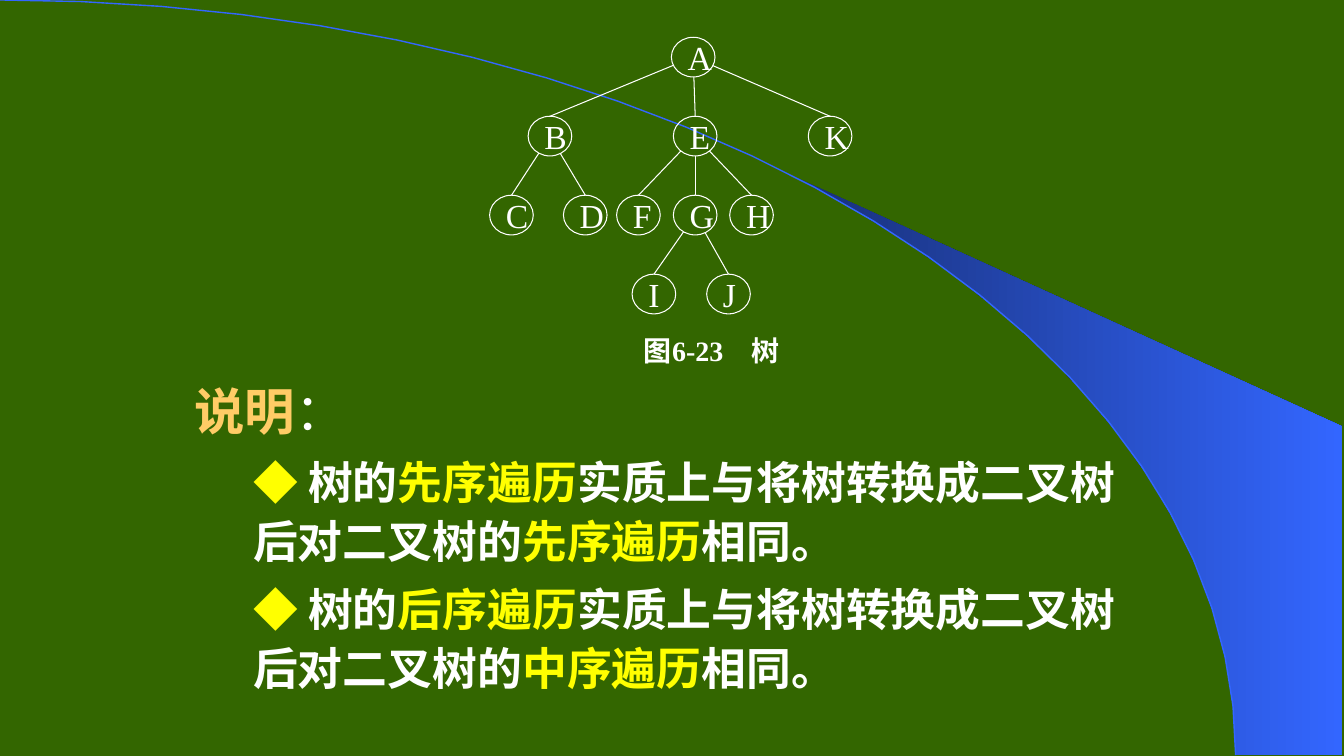
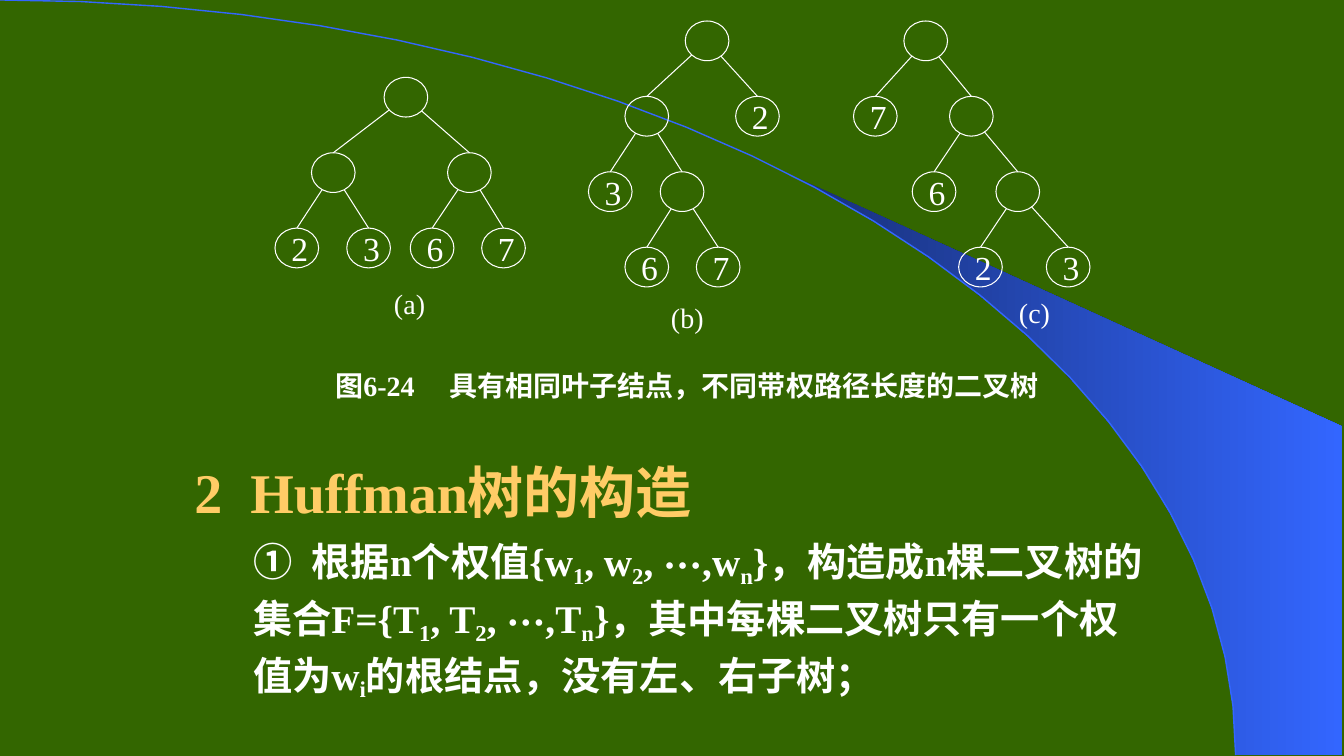
"""Build two slides on tree traversal and Huffman trees."""
import math

from lxml import etree
from pptx import Presentation
from pptx import util as u
from pptx.dml.color import RGBColor
from pptx.enum import shapes, text
from pptx.oxml.ns import qn

GREEN = RGBColor(0x33, 0x66, 0x00)
NAVY = RGBColor(0x18, 0x2F, 0x76)
BLUE = RGBColor(0x33, 0x66, 0xFF)
GOLD = RGBColor(0xFF, 0xCC, 0x66)
YELLOW = RGBColor(0xFF, 0xFF, 0x00)
WHITE = RGBColor(0xFF, 0xFF, 0xFF)
LATIN = "Times New Roman"
CHINESE = "Noto Sans CJK SC"
NODE_WIDTH, NODE_HEIGHT = 1.1, 1.0
ARC_WIDTH, ARC_HEIGHT = 31.14, 19.03
ITEM_INDENT = 1.48
SUBSCRIPT = {"baseline": -20000}
HIGHLIGHT = {"color": YELLOW}


def write(paragraph, content, accent=None, **style):
    """Add text to a paragraph; parts between bars take the accent format."""
    for index, part in enumerate(content.split("|")):
        if part:
            add_run(paragraph, part, **{**style, **(accent if index % 2 else {})})


def add_run(paragraph, content, size=24, color=WHITE, bold=False, font=LATIN, baseline=0):
    """Add one formatted run."""
    run = paragraph.add_run()
    run.text = content
    run.font.size = u.Pt(size)
    run.font.bold = bold
    run.font.color.rgb = color
    run.font.name = font
    properties = run.font._element
    etree.SubElement(properties, qn("a:ea")).set("typeface", CHINESE)
    if baseline:
        properties.set("baseline", str(baseline))


def set_tabs(paragraph, *stops):
    """Give a paragraph left tab stops."""
    tabs = etree.SubElement(paragraph._p.get_or_add_pPr(), qn("a:tabLst"))
    for stop in stops:
        tab = etree.SubElement(tabs, qn("a:tab"))
        tab.set("pos", str(u.Cm(stop)))
        tab.set("algn", "l")


def arc_points(start_degrees, steps):
    """Return points of the backdrop arc from an angle to its lower end."""
    first = math.radians(start_degrees)
    angles = [first + (math.pi / 2 - first) * step / steps for step in range(steps + 1)]
    return [(ARC_WIDTH * math.sin(a), ARC_HEIGHT * (1 - math.cos(a))) for a in angles]


class Deck:
    """Hold the presentation, its style and the current slide."""

    def __init__(self):
        """Set the slide size and the shared background."""
        self.presentation = Presentation()
        self.presentation.slide_width = u.Cm(33.87)
        self.presentation.slide_height = u.Cm(19.05)
        backdrop = self.presentation.slide_master.background.fill
        backdrop.solid()
        backdrop.fore_color.rgb = GREEN
        self.slide = None

    def new_slide(self):
        """Start a slide with the blue sweep and its arc."""
        self.slide = self.presentation.slides.add_slide(self.presentation.slide_layouts[6])
        sweep = self.outline(arc_points(39.9, 14) + [(33.81, 19.03), (33.81, 10.74)], True)
        sweep.fill.gradient()
        sweep.fill.gradient_angle = 0
        for stop, color in zip(sweep.fill.gradient_stops, (NAVY, BLUE)):
            stop.color.rgb = color
        sweep.line.fill.background()
        arc = self.outline(arc_points(0, 24), False)
        arc.fill.background()
        self.stroke(arc, BLUE, 1)

    def outline(self, points, close):
        """Add a freeform through points."""
        corners = [(u.Cm(x), u.Cm(y)) for x, y in points]
        builder = self.slide.shapes.build_freeform(*corners[0], scale=1.0)
        builder.add_line_segments(corners[1:], close=close)
        shape = builder.convert_to_shape()
        shape.shadow.inherit = False
        return shape

    def stroke(self, shape, color=WHITE, width=0.75):
        """Set the line of a shape or connector."""
        shape.line.color.rgb = color
        shape.line.width = u.Pt(width)

    def node(self, label, left, top):
        """Add a tree node."""
        oval = self.slide.shapes.add_shape(
            shapes.MSO_SHAPE.OVAL, u.Cm(left), u.Cm(top), u.Cm(NODE_WIDTH), u.Cm(NODE_HEIGHT))
        oval.shadow.inherit = False
        oval.fill.background()
        self.stroke(oval)
        if label:
            self.single_line(oval.text_frame, label)

    def edge(self, parent, child):
        """Join the rim of a parent node to the top of its child."""
        across = child[0] - parent[0]
        down = child[1] - parent[1] - NODE_HEIGHT / 2
        reach = 1 / math.hypot(across / (NODE_WIDTH / 2), down / (NODE_HEIGHT / 2))
        center_x = parent[0] + NODE_WIDTH / 2
        center_y = parent[1] + NODE_HEIGHT / 2
        branch = self.slide.shapes.add_connector(
            shapes.MSO_CONNECTOR.STRAIGHT,
            u.Cm(center_x + across * reach), u.Cm(center_y + down * reach),
            u.Cm(center_x + across), u.Cm(center_y + down))
        self.stroke(branch)
        etree.SubElement(branch._element.spPr, qn("a:effectLst"))

    def tree(self, root, top, pitch=1.9):
        """Draw a (label, left, *children) tree with evenly spaced levels."""
        label, left, *children = root
        self.node(label, left, top)
        for child in children:
            self.edge((left, top), (child[1], top + pitch))
            self.tree(child, top + pitch, pitch)

    def single_line(self, frame, content, **style):
        """Put one unwrapped, left-aligned line in a frame."""
        frame.word_wrap = False
        frame.vertical_anchor = text.MSO_ANCHOR.MIDDLE
        line = frame.paragraphs[0]
        line.alignment = text.PP_ALIGN.LEFT
        write(line, content, **style)

    def caption(self, content, left, top, width, height, tab=None, bold=False):
        """Add a label below a figure."""
        box = self.slide.shapes.add_textbox(u.Cm(left), u.Cm(top), u.Cm(width), u.Cm(height))
        if tab:
            set_tabs(box.text_frame.paragraphs[0], tab)
        self.single_line(box.text_frame, content, size=20, bold=bold)

    def body(self, top, height, heading, items, accent, size, **style):
        """Add a heading, given as formatted parts, over indented paragraphs."""
        box = self.slide.shapes.add_textbox(u.Cm(4.65), u.Cm(top), u.Cm(24.56), u.Cm(height))
        frame = box.text_frame
        frame.word_wrap = True
        title = frame.paragraphs[0]
        title.line_spacing = 1.1
        set_tabs(title, 1.41)
        for content, title_style in heading:
            write(title, content, **title_style)
        for item in items:
            paragraph = frame.add_paragraph()
            paragraph.line_spacing = 1.1
            paragraph.space_before = u.Pt(size * 0.2)
            paragraph._p.get_or_add_pPr().set("marL", str(u.Cm(ITEM_INDENT)))
            set_tabs(paragraph, ITEM_INDENT, 2 * ITEM_INDENT)
            write(paragraph, item, accent, size=size, bold=True, **style)


def traversal_slide(deck):
    """Show a tree and how its traversals match the binary tree."""
    deck.new_slide()
    deck.body(
        9.3, 8.6,
        [("说明", {"size": 36, "color": GOLD, "bold": True, "font": CHINESE}),
         ("：", {"size": 36, "font": CHINESE})],
        [f"|◆ |树的|{tree_order}|实质上与将树转换成二叉树后对二叉树的|{binary_order}|相同。"
         for tree_order, binary_order in (("先序遍历", "先序遍历"), ("后序遍历", "中序遍历"))],
        HIGHLIGHT, 32, font=CHINESE)
    deck.tree(
        ("A", 16.92,
         ("B", 13.31, ("C", 12.34), ("D", 14.2)),
         ("E", 16.97,
          ("F", 15.54),
          ("G", 16.97, ("I", 15.93), ("J", 17.81)),
          ("H", 18.39)),
         ("K", 20.37)),
        0.94, pitch=1.99)
    deck.caption("图6-23\t树", 15.98, 8.33, 4.5, 1, tab=2.7, bold=True)


def huffman_slide(deck):
    """Compare three weighted trees and open the Huffman construction."""
    deck.new_slide()
    deck.tree(
        ("", 9.68,
         ("", 7.85, ("2", 6.93), ("3", 8.74)),
         ("", 11.28, ("6", 10.34), ("7", 12.14))),
        1.95)
    deck.tree(
        ("", 17.27,
         ("", 15.75, ("3", 14.83), ("", 16.64, ("6", 15.75), ("7", 17.55))),
         ("2", 18.54)),
        0.53)
    deck.tree(
        ("", 22.78,
         ("7", 21.51),
         ("", 23.93, ("6", 22.99), ("", 25.1, ("2", 24.16), ("3", 26.37)))),
        0.53)
    for label, left, top in (("(a)", 9.68, 7.19), ("(b)", 16.66, 7.54), ("(c)", 25.43, 7.42)):
        deck.caption(label, left, top, 1.6, 0.89)
    deck.caption("图6-24\t具有相同叶子结点，不同带权路径长度的二叉树",
                 8.2, 9.22, 19, 1, tab=2.88, bold=True)
    deck.body(
        11.23, 6.3,
        [("2\tHuffman树的构造", {"size": 40, "color": GOLD, "bold": True})],
        ["①\t根据n个权值{w|1|, w|2|, ⋯,w|n|}，构造成n棵二叉树的集合F={T|1|, T|2|, ⋯,T|n|}，"
         "其中每棵二叉树只有一个权值为w|i|的根结点，没有左、右子树；"],
        SUBSCRIPT, 28)


def main():
    """Build and save the deck."""
    deck = Deck()
    traversal_slide(deck)
    huffman_slide(deck)
    deck.presentation.save("out.pptx")


if __name__ == "__main__":
    main()
